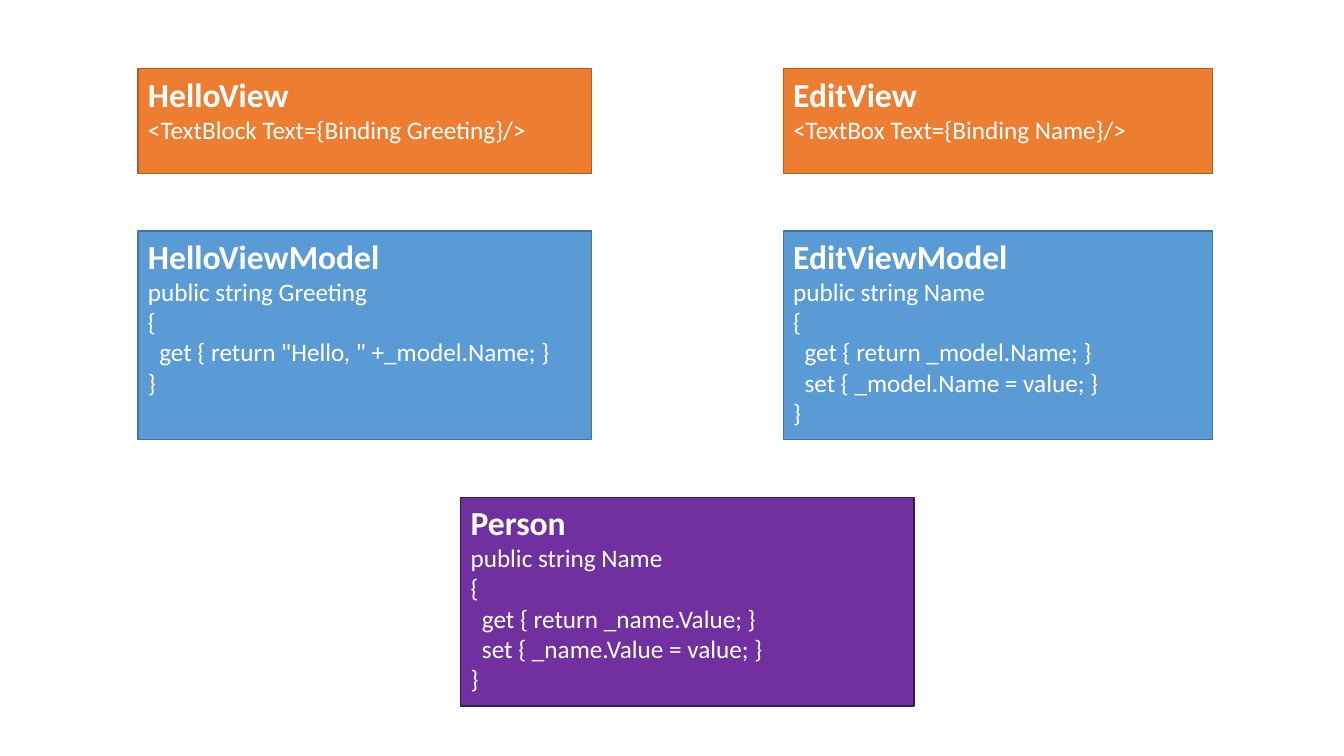
from dataclasses import dataclass

import pptx
import pptx.dml.color
import pptx.enum.shapes
import pptx.enum.text
import pptx.slide
import pptx.util
from pptx.util import Cm


@dataclass(frozen=True)
class Style:
    fill: str
    line: str


@dataclass(frozen=True)
class Theme:
    view: Style = Style("ED7D31", "AF5C24")
    view_model: Style = Style("5B9BD5", "43739E")
    model: Style = Style("7030A0", "3A1953")
    text: str = "FFFFFF"
    font: str = "Calibri"
    title_size: int = 24
    code_size: int = 18


@dataclass(frozen=True)
class Column:
    left: float
    width: float


@dataclass(frozen=True)
class Row:
    top: float
    height: float


@dataclass(frozen=True)
class ClassBox:
    title: str
    code: tuple[str, ...]
    column: Column
    row: Row
    style: Style


THEME = Theme()

# Layout in centimetres: rows stack with an equal gap
GAP = 1.45
HELLO, EDIT, SHARED = Column(3.48, 11.43), Column(19.74, 10.82), Column(11.61, 11.43)
VIEWS = Row(1.73, 2.64)
VIEW_MODELS = Row(VIEWS.top + VIEWS.height + GAP, 5.26)
MODELS = Row(VIEW_MODELS.top + VIEW_MODELS.height + GAP, VIEW_MODELS.height)


def property_code(name: str, *accessors: str) -> tuple[str, ...]:
    return (f"public string {name}", "{", *(f"  {a}" for a in accessors), "}")


BOXES = [
    ClassBox("HelloView", ("<TextBlock Text={Binding Greeting}/>",),
             HELLO, VIEWS, THEME.view),
    ClassBox("EditView", ("<TextBox Text={Binding Name}/>",),
             EDIT, VIEWS, THEME.view),
    ClassBox("HelloViewModel",
             property_code("Greeting", 'get { return "Hello, " +_model.Name; }'),
             HELLO, VIEW_MODELS, THEME.view_model),
    ClassBox("EditViewModel",
             property_code("Name", "get { return _model.Name; }",
                           "set { _model.Name = value; }"),
             EDIT, VIEW_MODELS, THEME.view_model),
    ClassBox("Person",
             property_code("Name", "get { return _name.Value; }",
                           "set { _name.Value = value; }"),
             SHARED, MODELS, THEME.model),
]


def rgb(value: str) -> pptx.dml.color.RGBColor:
    return pptx.dml.color.RGBColor.from_string(value)


def draw_box(s: pptx.slide.Slide, box: ClassBox) -> None:
    # Rectangle
    sp = s.shapes.add_shape(
        pptx.enum.shapes.MSO_SHAPE.RECTANGLE,
        Cm(box.column.left), Cm(box.row.top),
        Cm(box.column.width), Cm(box.row.height))
    sp.shadow.inherit = False
    sp.fill.solid()
    sp.fill.fore_color.rgb = rgb(box.style.fill)
    sp.line.color.rgb = rgb(box.style.line)
    sp.line.width = pptx.util.Pt(1)

    # Class name followed by its code
    tf = sp.text_frame
    tf.word_wrap = True
    tf.vertical_anchor = pptx.enum.text.MSO_ANCHOR.TOP
    for i, line in enumerate((box.title, *box.code)):
        p = tf.add_paragraph() if i else tf.paragraphs[0]
        p.text = line
        p.alignment = pptx.enum.text.PP_ALIGN.LEFT
        p.font.name = THEME.font
        p.font.size = pptx.util.Pt(THEME.code_size if i else THEME.title_size)
        p.font.bold = i == 0
        p.font.color.rgb = rgb(THEME.text)


def main() -> None:
    prs = pptx.Presentation()
    prs.slide_width, prs.slide_height = Cm(33.87), Cm(19.05)
    s = prs.slides.add_slide(prs.slide_layouts[6])
    for box in BOXES:
        draw_box(s, box)
    prs.save("out.pptx")


if __name__ == "__main__":
    main()
